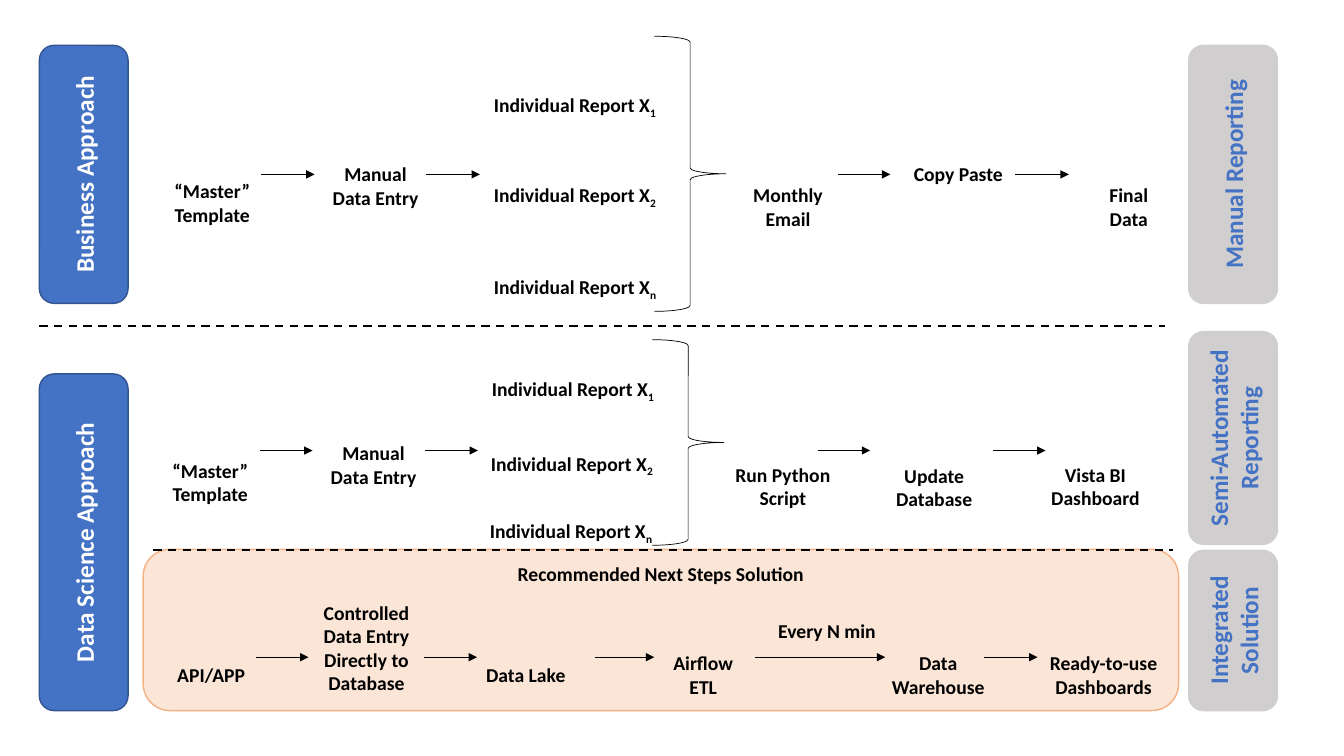
from lxml import etree
from pptx import Presentation
from pptx import util as u
from pptx.dml.color import RGBColor
from pptx.enum import dml, shapes, text
from pptx.oxml.ns import qn

PX = 9144  # 100 px to the inch
FONT = "Calibri"
BLACK, WHITE, BLUE, GREY = "000000", "FFFFFF", "4472C4", "D0CECE"


def px(n):
    return u.Emu(n * PX)


def rgb(hex_string):
    return RGBColor.from_string(hex_string)


def style(p, size, color, align=text.PP_ALIGN.CENTER):
    p.alignment = align
    p.font.name, p.font.size, p.font.bold = FONT, u.Pt(size), True
    p.font.color.rgb = rgb(color)


def add_shape(s, kind, x, y, w, h, fill, line, weight=1):
    sp = s.shapes.add_shape(kind, px(x), px(y), px(w), px(h))
    sp.shadow.inherit = False
    if fill:
        sp.fill.solid()
        sp.fill.fore_color.rgb = rgb(fill)
    else:
        sp.fill.background()
    sp.line.color.rgb = rgb(line)
    sp.line.width = u.Pt(weight)
    return sp


def add_label(s, words, x, y, w, h, align=text.PP_ALIGN.CENTER):
    tf = s.shapes.add_textbox(px(x), px(y), px(w), px(h)).text_frame
    tf.word_wrap = True
    tf.auto_size = text.MSO_AUTO_SIZE.SHAPE_TO_FIT_TEXT
    tf.text = words
    for p in tf.paragraphs:
        style(p, 14, BLACK, align)
    return tf


def add_line(s, x1, x2, y, weight):
    line = s.shapes.add_connector(
        shapes.MSO_CONNECTOR.STRAIGHT, px(x1), px(y), px(x2), px(y))
    line.line.color.rgb = rgb(BLACK)
    line.line.width = u.Pt(weight)
    etree.SubElement(line._element.spPr, qn("a:effectLst"))
    return line


def add_divider(s, x1, x2, y):
    add_line(s, x1, x2, y, 1.5).line.dash_style = dml.MSO_LINE.DASH


def add_arrow(s, x1, x2, y):
    ln = add_line(s, x1, x2, y, 0.5).line._get_or_add_ln()
    etree.SubElement(ln, qn("a:tailEnd"), type="triangle")


def add_banner(s, words, x, y, w, h, fill, line, color):
    """Rounded bar with its text turned upwards."""
    sp = add_shape(s, shapes.MSO_SHAPE.ROUNDED_RECTANGLE, x, y, w, h, fill, line)
    tf = sp.text_frame
    tf._txBody.bodyPr.set("vert", "vert270")
    tf.vertical_anchor = text.MSO_ANCHOR.MIDDLE
    tf.word_wrap = True
    tf.text = words
    style(tf.paragraphs[0], 18, color)


def add_reports(s, x, y, h, reports):
    """Stack of reports, gathered by a brace of height h."""
    for sub, dx, dy, w in reports:
        p = add_label(s, "Individual Report X", x + dx, y + dy, w, 34,
                      text.PP_ALIGN.LEFT).paragraphs[0]
        r = p.add_run()
        r.text = sub
        r.font._element.set("baseline", "-25000")
    add_shape(s, shapes.MSO_SHAPE.RIGHT_BRACE, x + 169, y, 71, h, None, BLACK, 0.5)


def add_flow(s, x, y, steps, arrows, arrow_y):
    """Steps and arrows, placed from the row's top left corner."""
    for words, dx, dy, w, h in steps:
        add_label(s, words, x + dx, y + dy, w, h)
    for start, end in arrows:
        add_arrow(s, x + start, x + end, y + arrow_y)


def business_row(s, x, y):
    add_flow(s, x, y, [
        ("“Master”\nTemplate", 19, 137, 99, 57),
        ("Manual Data Entry", 173, 120, 115, 57),
        ("Monthly\nEmail", 590, 141, 99, 57),
        ("Copy Paste", 751, 120, 115, 34),
        ("Final\nData", 928, 141, 99, 57),
    ], [(117, 170), (281, 334), (689, 741), (865, 918)], 137)
    add_reports(s, x + 338, y, 273,
                [("1", 0, 51, 185), ("2", 0, 141, 185), ("n", 0, 232, 200)])


def data_science_row(s, x, y):
    add_flow(s, x, y, [
        ("“Master”\nTemplate", 17, 113, 99, 57),
        ("Manual Data Entry", 171, 96, 115, 57),
        ("Run Python Script", 569, 117, 131, 57),
        ("Update Database", 727, 118, 115, 57),
        ("Vista BI\nDashboard", 879, 117, 131, 57),
    ], [(116, 168), (280, 332), (669, 721), (843, 895)], 110)
    add_reports(s, x + 336, y, 204,
                [("1", 0, 32, 185), ("2", -1, 106, 185), ("n", -2, 173, 200)])


def next_steps_row(s, x, y, w, h):
    panel = add_shape(s, shapes.MSO_SHAPE.ROUNDED_RECTANGLE, x, y, w, h,
                      "FBE5D6", "F4B183")
    tf = panel.text_frame
    tf.vertical_anchor = text.MSO_ANCHOR.TOP
    tf.text = "Recommended Next Steps Solution"
    style(tf.paragraphs[0], 14, BLACK)
    add_flow(s, x, y, [
        ("API/APP", 10, 108, 115, 34),
        ("Controlled Data Entry\nDirectly to Database", 164, 46, 115, 104),
        ("Data Lake", 322, 108, 115, 34),
        ("Airflow\nETL", 498, 96, 115, 57),
        ("Data\nWarehouse", 731, 96, 115, 57),
        ("Ready-to-use\nDashboards", 887, 96, 131, 57),
    ], [(112, 164), (279, 331), (448, 507), (607, 736), (834, 887)], 107)
    add_label(s, "Every N min", x + 620, y + 64, 132, 34, text.PP_ALIGN.LEFT)


def main():
    prs = Presentation()
    prs.slide_width, prs.slide_height = px(1333), px(750)
    s = prs.slides.add_slide(prs.slide_layouts[6])

    # Process rows
    next_steps_row(s, 142, 545, 1027, 160)
    business_row(s, 142, 36)
    data_science_row(s, 142, 337)

    # Dividers between the rows
    add_divider(s, 39, 1155, 323)
    add_divider(s, 152, 1163, 546)

    # Approaches on the left, outcomes on the right
    for words, y, h in [("Business Approach", 45, 256),
                        ("Data Science Approach", 371, 334)]:
        add_banner(s, words, 39, y, 88, h, BLUE, "325491", WHITE)
    for words, y, h in [("Manual Reporting", 45, 256),
                        ("Semi-Automated Reporting", 329, 211),
                        ("Integrated Solution", 546, 159)]:
        add_banner(s, words, 1179, y, 88, h, GREY, GREY, BLUE)

    prs.save("out.pptx")


if __name__ == "__main__":
    main()
